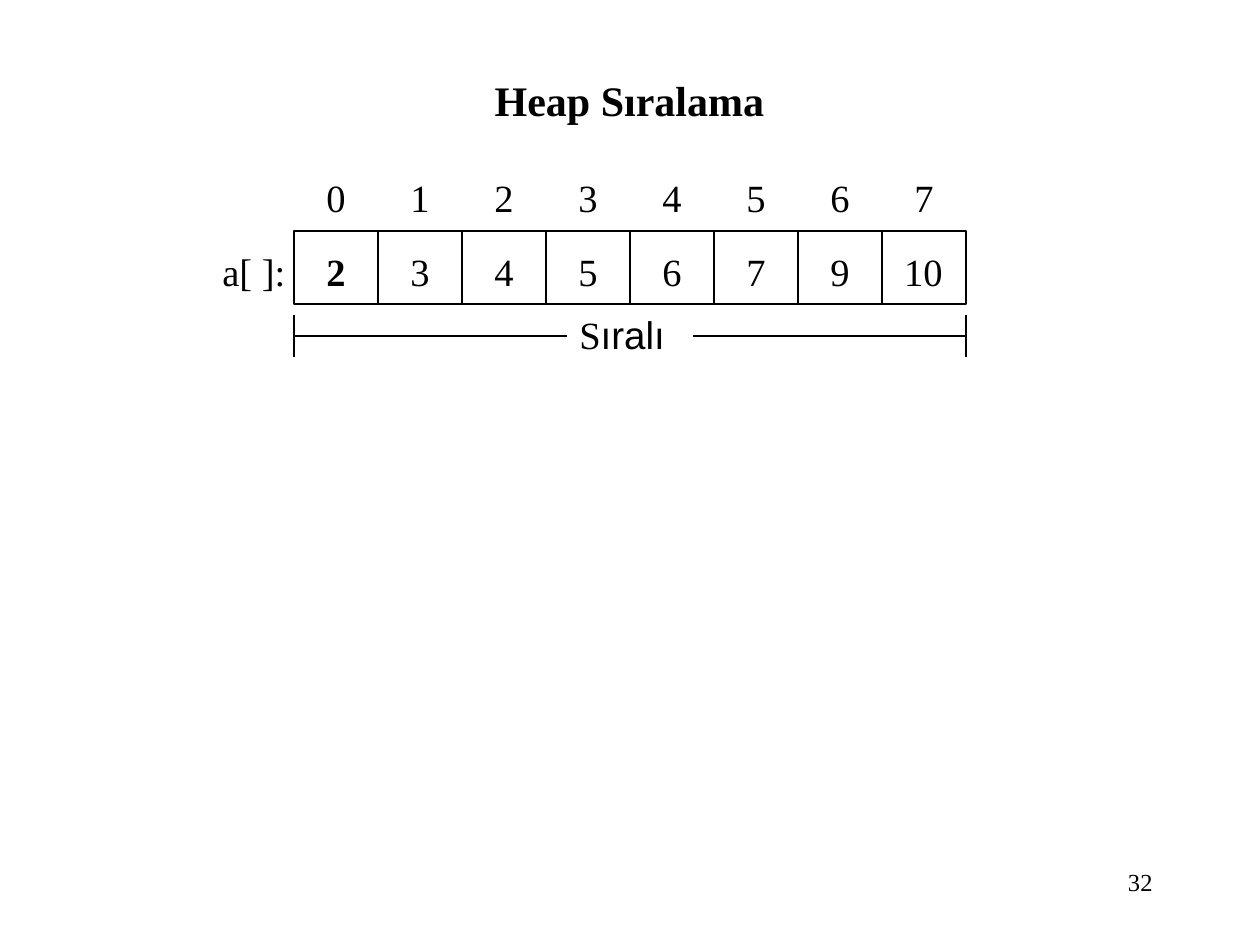
from lxml.etree import SubElement
from pptx import Presentation
from pptx.dml.color import RGBColor
from pptx.enum.shapes import MSO_CONNECTOR as Conn, MSO_SHAPE as Shape
from pptx.enum.text import MSO_ANCHOR as Anchor, MSO_AUTO_SIZE as Fit, PP_ALIGN as Align
from pptx.oxml.ns import qn
from pptx.util import Pt

PX = 914400 // 126
INK = {"text": "000000", "line": "000000"}
SERIF, SANS = "Times New Roman", "Arial"
VALUES = [2, 3, 4, 5, 6, 7, 9, 10]
CELL = 84


def px(*nums):
    return [n * PX for n in nums]


def style(font, **extra):
    font.color.rgb = RGBColor.from_string(INK["text"])
    for key, val in {"name": SERIF, "size": Pt(22), "bold": False, **extra}.items():
        setattr(font, key, val)


def label(slide, box, runs, align=Align.CENTER, mid=True, wrap=False, **look):
    """Add a text box; runs is a list of (text, font name)."""
    frame = slide.shapes.add_textbox(*px(*box)).text_frame
    frame.word_wrap = wrap
    frame.auto_size = Fit.NONE
    frame.vertical_anchor = Anchor.MIDDLE if mid else Anchor.TOP
    para = frame.paragraphs[0]
    para.alignment = align
    for text, face in runs:
        run = para.add_run()
        run.text = text
        style(run.font, name=face, **look)


def stroke(line):
    line.color.rgb = RGBColor.from_string(INK["line"])
    line.width = Pt(0.75)


def rule(slide, *ends):
    link = slide.shapes.add_connector(Conn.STRAIGHT, *px(*ends))
    stroke(link.line)
    SubElement(link._element.spPr, qn("a:effectLst"))


def title(slide, box, text):
    head = slide.shapes.title
    head.left, head.top, head.width, head.height = px(*box)
    frame = head.text_frame
    frame.text = text
    frame.vertical_anchor = Anchor.MIDDLE
    para = frame.paragraphs[0]
    para.alignment = Align.CENTER
    style(para.runs[0].font, size=Pt(24), bold=True)


def array(slide, box, name, values):
    """Index row above a row of cells, with the array's name at the left."""
    left, top, width, high = box
    step = width // len(values)
    row = top + 63
    for i, val in enumerate(values):
        x = left + i * step
        label(slide, (x + 21, top, 42, 59), [(str(i), SERIF)], mid=False)
        cell = slide.shapes.add_shape(Shape.RECTANGLE, *px(x, row, step, high - 63))
        cell.shadow.inherit = False
        cell.fill.background()
        stroke(cell.line)
        wide = 44 if val < 10 else 63
        label(slide, (x + (step - wide) // 2, row + 11, wide, 59),
              [(str(val), SERIF)], bold=i == 0)
    label(slide, (left - 84, row + 11, 88, 59), [(name, SERIF)])


def span(slide, box, runs):
    """Bracket with end ticks and a word in its gap."""
    left, top, width, high = box
    right, mid, gap = left + width, top + high // 2, 126
    arm = (width - gap) // 2
    for x, end in ((left, left + arm), (right, right - arm)):
        rule(slide, x, top, x, top + high)
        rule(slide, min(x, end), mid, max(x, end), mid)
    label(slide, (left + arm, mid - 31, 111, 59), runs, align=Align.LEFT)


def main():
    deck = Presentation()
    deck.slide_width, deck.slide_height = px(1260, 945)
    slide = deck.slides.add_slide(deck.slide_layouts[5])
    wide = CELL * len(VALUES)
    title(slide, (73, 63, 1113, 73), "Heap Sıralama")
    array(slide, (294, 168, wide, 136), "a[ ]:", VALUES)
    span(slide, (294, 315, wide, 42), [("S", SERIF), ("ıralı", SANS)])
    # Page number
    label(slide, (903, 861, 262, 63), [("32", SERIF)], align=Align.RIGHT,
          mid=False, wrap=True, size=Pt(14))
    deck.save("out.pptx")


if __name__ == "__main__":
    main()
